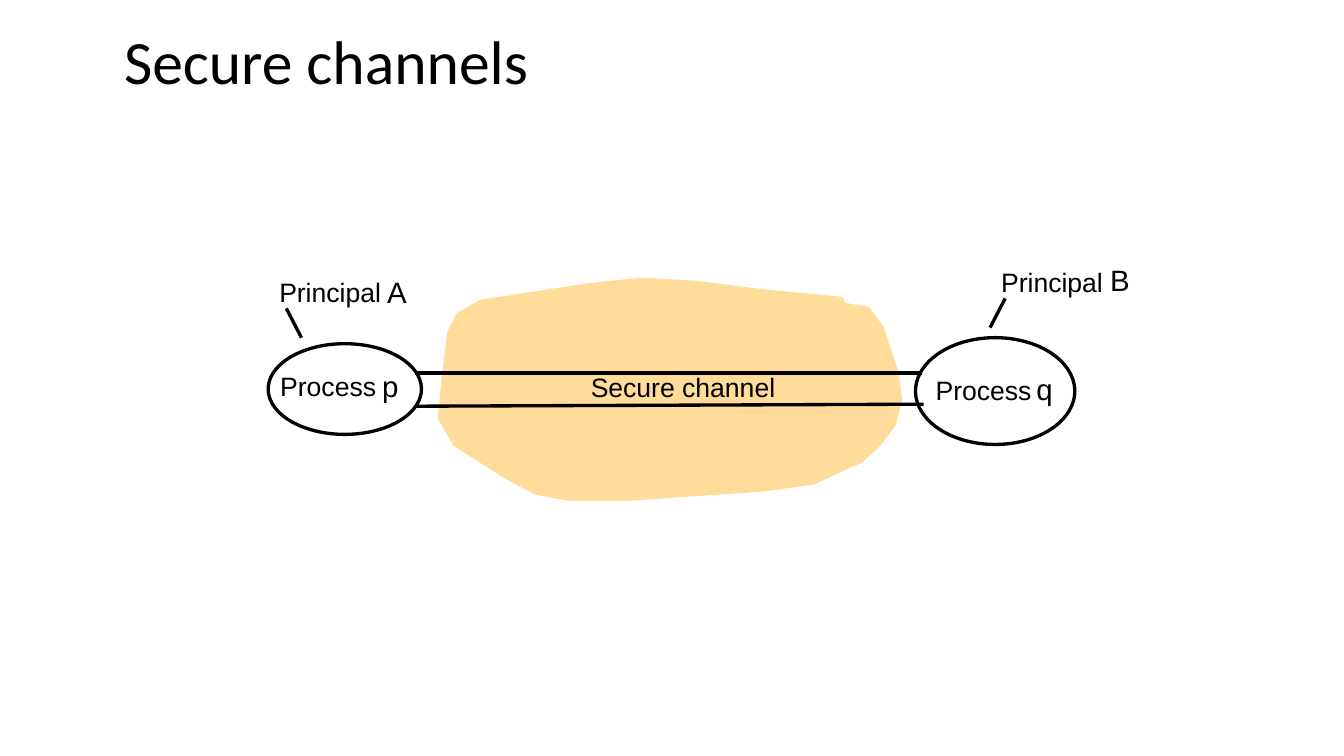
import pptx
import pptx.util
import pptx.dml.color
import pptx.enum.shapes
import pptx.enum.text
import lxml.etree

PX = 9144  # 100 px to the inch
MSO = pptx.enum.shapes
TXT = pptx.enum.text


def color(value):
    return pptx.dml.color.RGBColor.from_string(value)


def format_text(shape, text, font, size, **frame):
    """Write one paragraph and apply the frame's format values."""
    tf = shape.text_frame
    for name, value in frame.items():
        setattr(tf, name, value)
    p = tf.paragraphs[0]
    p.alignment = TXT.PP_ALIGN.LEFT
    r = p.add_run()
    r.text = text
    values = {"name": font, "size": pptx.util.Pt(size), "bold": False}
    for name, value in values.items():
        setattr(r.font, name, value)
    r.font.color.rgb = color("000000")
    return p


prs = pptx.Presentation()
prs.slide_width = 1333 * PX
prs.slide_height = 750 * PX
s = prs.slides.add_slide(prs.slide_layouts[5])

# Title
title = s.shapes.title
box = {"left": 113, "top": -43, "width": 1150, "height": 145}
for name, value in box.items():
    setattr(title, name, value * PX)
p = format_text(title, "Secure channels", "Calibri", 44,
                word_wrap=True, auto_size=TXT.MSO_AUTO_SIZE.NONE,
                vertical_anchor=TXT.MSO_ANCHOR.BOTTOM,
                margin_left=10 * PX, margin_right=14 * PX,
                margin_top=5 * PX, margin_bottom=5 * PX)
p.line_spacing = 0.9

# Network cloud and the two processes
outline = [(834, 296), (760, 289), (688, 280), (635, 277), (581, 283),
           (477, 299), (454, 312), (445, 331), (439, 383), (436, 415),
           (451, 441), (501, 473), (531, 489), (563, 495), (626, 495),
           (757, 486), (807, 479), (855, 457), (872, 441), (887, 421),
           (893, 396), (890, 370), (875, 325), (861, 306), (837, 302)]
builder = s.shapes.build_freeform(*outline[0], scale=PX)
builder.add_line_segments(outline[1:], close=True)
cloud = builder.convert_to_shape()

ellipses = [s.shapes.add_shape(MSO.MSO_SHAPE.OVAL, *(v * PX for v in at))
            for at in [(908, 335, 158, 106), (266, 341, 152, 90)]]

styles = [(cloud, "FFDC99", "FFDC99")]
styles += [(sp, "FFFFFF", "000000") for sp in ellipses]
for sp, fill, line in styles:
    sp.shadow.inherit = False
    sp.fill.solid()
    sp.fill.fore_color.rgb = color(fill)
    sp.line.color.rgb = color(line)
    sp.line.width = pptx.util.Pt(2.38)

# Channel edges and principal pointers
lines = [(412, 370, 914, 370), (412, 403, 916, 401),
         (997, 296, 982, 325), (284, 306, 299, 335)]
for ends in lines:
    c = s.shapes.add_connector(MSO.MSO_CONNECTOR.STRAIGHT,
                               *(v * PX for v in ends))
    c.line.color.rgb = color("000000")
    c.line.width = pptx.util.Pt(2.38)
    sp_pr = c.line._get_or_add_ln().getparent()
    lxml.etree.SubElement(sp_pr, pptx.oxml.ns.qn("a:effectLst"))

# Labels: words at 19 pt, single letters at 21 pt
labels = [("Principal", 277, 274, 110), ("A", 384, 272, 20),
          ("Process", 278, 367, 104), ("p", 379, 365, 16),
          ("Secure channel", 586, 368, 186),
          ("Process", 928, 371, 104), ("q", 1028, 368, 16),
          ("Principal", 993, 264, 110), ("B", 1101, 260, 20)]
for text, left, top, width in labels:
    size, height = (21, 35) if len(text) == 1 else (19, 32)
    label = s.shapes.add_textbox(left * PX, top * PX, width * PX, height * PX)
    format_text(label, text, "Arial", size, word_wrap=False,
                auto_size=TXT.MSO_AUTO_SIZE.SHAPE_TO_FIT_TEXT,
                margin_left=0, margin_right=0, margin_top=0, margin_bottom=0)

prs.save("out.pptx")
